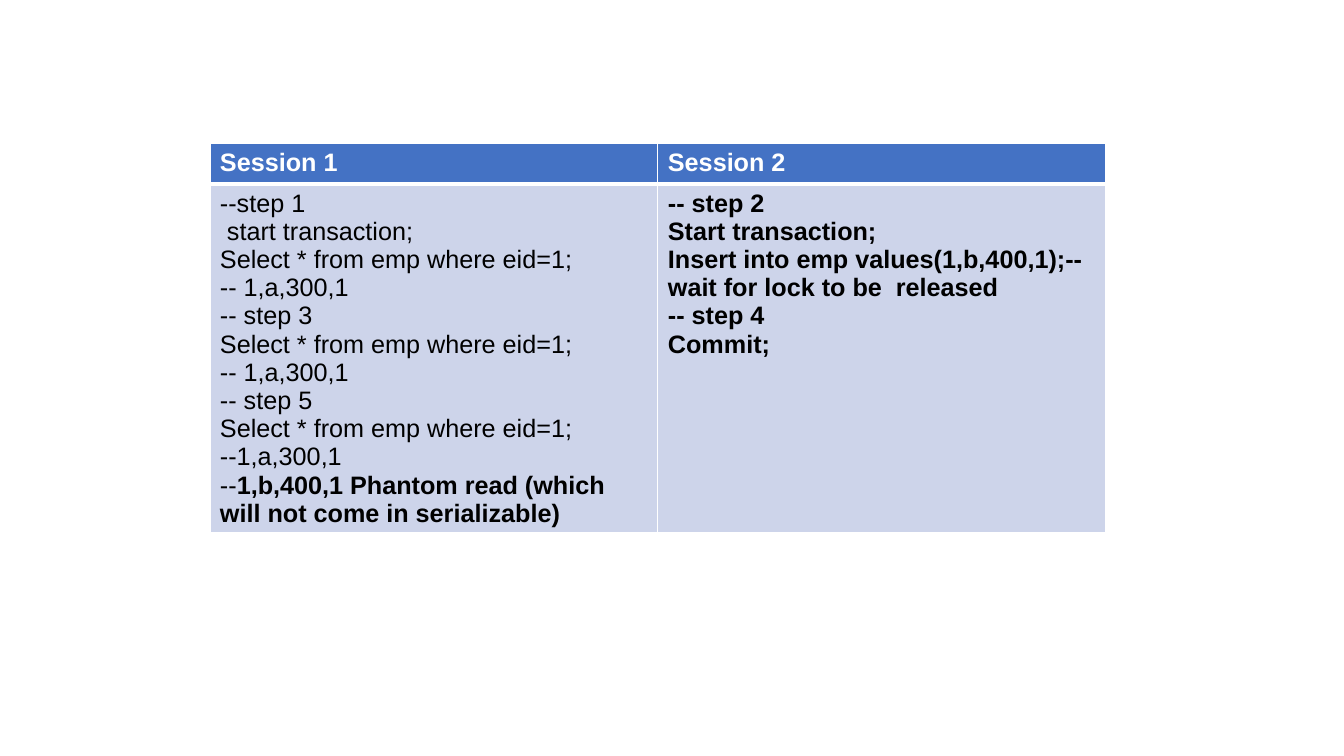
from dataclasses import dataclass

from lxml.etree import SubElement
from pptx import Presentation
from pptx.dml.color import RGBColor
from pptx.oxml.ns import qn
from pptx.table import _Cell
from pptx.util import Cm, Pt

WHITE, BLACK, BLUE, PALE_BLUE = "FFFFFF", "000000", "4472C4", "CDD4EA"
COLUMN_WIDTH = Cm(11.29)
HEADER_HEIGHT, BODY_HEIGHT = Cm(1.03), Cm(8.79)


@dataclass
class Run:
    text: str
    bold: bool = False


@dataclass
class Session:
    title: str
    lines: list[list[Run]]


def plain(text: str) -> list[Run]:
    return [Run(text)]


def strong(text: str) -> list[Run]:
    return [Run(text, bold=True)]


SELECT = "Select * from emp where eid=1;"
SESSIONS = [
    Session("Session 1", [
        plain("--step 1"),
        plain(" start transaction;"),
        plain(SELECT),
        plain("-- 1,a,300,1"),
        plain("-- step 3"),
        plain(SELECT),
        plain("-- 1,a,300,1"),
        plain("-- step 5"),
        plain(SELECT),
        plain("--1,a,300,1"),
        [Run("--"), Run("1,b,400,1 Phantom read (which will not come in serializable)", bold=True)],
    ]),
    Session("Session 2", [
        strong("-- step 2"),
        strong("Start transaction;"),
        strong("Insert into emp values(1,b,400,1);-- wait for lock to be  released"),
        strong("-- step 4"),
        strong("Commit;"),
    ]),
]


def color(hex_value: str) -> RGBColor:
    return RGBColor.from_string(hex_value)


def write_text(cell: _Cell, lines: list[list[Run]], *, font_color: str,
               size: float = 18, font_name: str = "Arial") -> None:
    frame = cell.text_frame
    for index, runs in enumerate(lines):
        paragraph = frame.paragraphs[0] if index == 0 else frame.add_paragraph()
        for item in runs:
            run = paragraph.add_run()
            run.text = item.text
            run.font.name = font_name
            run.font.size = Pt(size)
            run.font.bold = item.bold
            run.font.color.rgb = color(font_color)


def set_borders(cell: _Cell, *, top: float = 1, bottom: float = 1) -> None:
    properties = cell._tc.get_or_add_tcPr()
    for side, width in {"L": 1, "R": 1, "T": top, "B": bottom}.items():
        line = SubElement(properties, qn(f"a:ln{side}"), w=str(Pt(width)))
        fill = SubElement(line, qn("a:solidFill"))
        SubElement(fill, qn("a:srgbClr"), val=WHITE)


def set_fill(cell: _Cell, hex_value: str) -> None:
    cell.fill.solid()
    cell.fill.fore_color.rgb = color(hex_value)


def main() -> None:
    presentation = Presentation()
    presentation.slide_width, presentation.slide_height = Cm(33.87), Cm(19.05)
    slide = presentation.slides.add_slide(presentation.slide_layouts[6])

    # Table grid
    table = slide.shapes.add_table(
        2, len(SESSIONS), Cm(5.29), Cm(3.61),
        COLUMN_WIDTH * len(SESSIONS), HEADER_HEIGHT + BODY_HEIGHT).table
    table.rows[0].height, table.rows[1].height = HEADER_HEIGHT, BODY_HEIGHT

    # One column per session
    for index, session in enumerate(SESSIONS):
        table.columns[index].width = COLUMN_WIDTH
        header, body = table.cell(0, index), table.cell(1, index)
        set_borders(header, bottom=3)
        set_fill(header, BLUE)
        write_text(header, [strong(session.title)], font_color=WHITE)
        set_borders(body, top=3)
        set_fill(body, PALE_BLUE)
        write_text(body, session.lines, font_color=BLACK)

    presentation.save("out.pptx")


if __name__ == "__main__":
    main()
